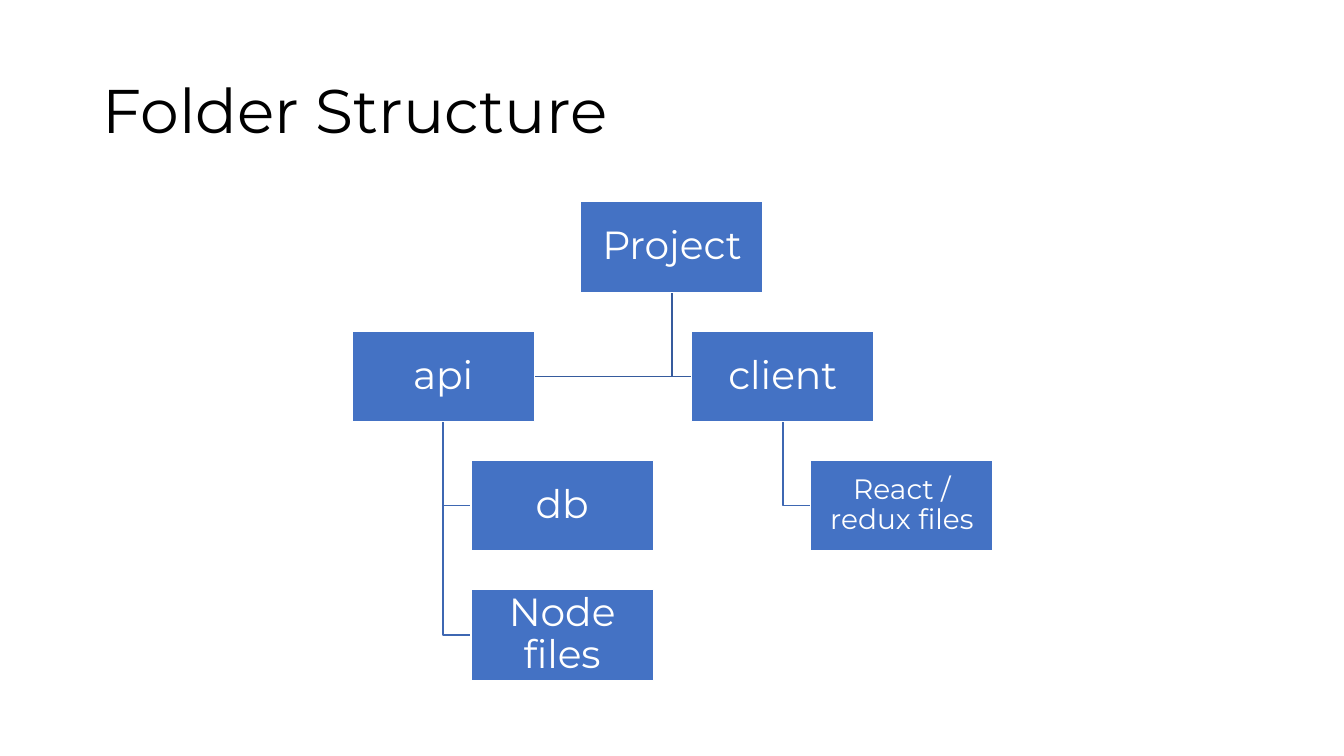
from pptx import Presentation
from pptx.dml.color import RGBColor
from pptx.enum.shapes import MSO_SHAPE
from pptx.enum.text import MSO_ANCHOR, PP_ALIGN
from pptx.util import Inches, Pt

COLORS = {
    "title": "000000",
    "box": "4472C4",
    "box_text": "FFFFFF",
    "box_border": "FFFFFF",
    "upper_link": "365B9D",
    "lower_link": "3E67B2",
}
FONT = "Montserrat"
BOX_WIDTH, BOX_HEIGHT = 1.81, 0.9
CHILD_INDENT = 1.18
ROWS = 4

API_LEFT, PROJECT_LEFT, CLIENT_LEFT = 0, 2.27, 3.37
FOLDERS = {
    "Project": (PROJECT_LEFT, 0, 28),
    "api": (API_LEFT, 1, 28),
    "db": (API_LEFT + CHILD_INDENT, 2, 28),
    "Node files": (API_LEFT + CHILD_INDENT, 3, 28),
    "client": (CLIENT_LEFT, 1, 28),
    "React / redux files": (CLIENT_LEFT + CHILD_INDENT, 2, 20),
}
LINKS = [
    ("client", "React / redux files", "lower_link"),
    ("Project", "client", "upper_link"),
    ("api", "Node files", "lower_link"),
    ("api", "db", "lower_link"),
    ("Project", "api", "upper_link"),
]


def color(name):
    return RGBColor.from_string(COLORS[name])


def set_text(shape, text, size, color_name, alignment, margins):
    frame = shape.text_frame
    frame_format = {"word_wrap": True, "vertical_anchor": MSO_ANCHOR.MIDDLE}
    for side, margin in zip(("left", "top", "right", "bottom"), margins):
        frame_format[f"margin_{side}"] = Inches(margin)
    for name, value in frame_format.items():
        setattr(frame, name, value)
    paragraph = frame.paragraphs[0]
    for name, value in {"alignment": alignment, "line_spacing": 0.9}.items():
        setattr(paragraph, name, value)
    run = paragraph.add_run()
    run.text = text
    for name, value in {"name": FONT, "size": Pt(size)}.items():
        setattr(run.font, name, value)
    run.font.color.rgb = color(color_name)


def set_line(shape, color_name):
    shape.shadow.inherit = False
    shape.line.color.rgb = color(color_name)
    shape.line.width = Pt(1)


def add_title(slide, left, top, width, height):
    title = slide.shapes.add_textbox(*map(Inches, (left, top, width, height)))
    set_text(title, "Folder Structure", 44, "title", PP_ALIGN.LEFT,
             (0.1, 0.05, 0.1, 0.05))


def add_link(slide, start, end, color_name):
    points = [tuple(map(Inches, point))
              for point in (start, (start[0], end[1]), end)]
    builder = slide.shapes.build_freeform(*points[0])
    builder.add_line_segments(points[1:], close=False)
    link = builder.convert_to_shape()
    link.fill.background()
    set_line(link, color_name)


def add_folder(slide, text, size, left, top):
    folder = slide.shapes.add_shape(
        MSO_SHAPE.RECTANGLE,
        *map(Inches, (left, top, BOX_WIDTH, BOX_HEIGHT)))
    folder.fill.solid()
    folder.fill.fore_color.rgb = color("box")
    set_line(folder, "box_border")
    set_text(folder, text, size, "box_text", PP_ALIGN.CENTER, [0.02] * 4)


def add_folder_tree(slide, left, top, height):
    row_step = (height - BOX_HEIGHT) / (ROWS - 1)
    corners = {text: (left + offset, top + row * row_step)
               for text, (offset, row, size) in FOLDERS.items()}
    for parent, child, color_name in LINKS:
        parent_left, parent_top = corners[parent]
        child_left, child_top = corners[child]
        start = (parent_left + BOX_WIDTH / 2, parent_top + BOX_HEIGHT)
        near_edge = child_left if child_left > start[0] else child_left + BOX_WIDTH
        add_link(slide, start, (near_edge, child_top + BOX_HEIGHT / 2), color_name)
    for text, (offset, row, size) in FOLDERS.items():
        add_folder(slide, text, size, *corners[text])


presentation = Presentation()
presentation.slide_width = Inches(13.33)
presentation.slide_height = Inches(7.5)
slide = presentation.slides.add_slide(presentation.slide_layouts[6])
add_title(slide, 0.92, 0.4, 11.5, 1.45)
add_folder_tree(slide, 3.49, 2, 4.75)
presentation.save("out.pptx")
